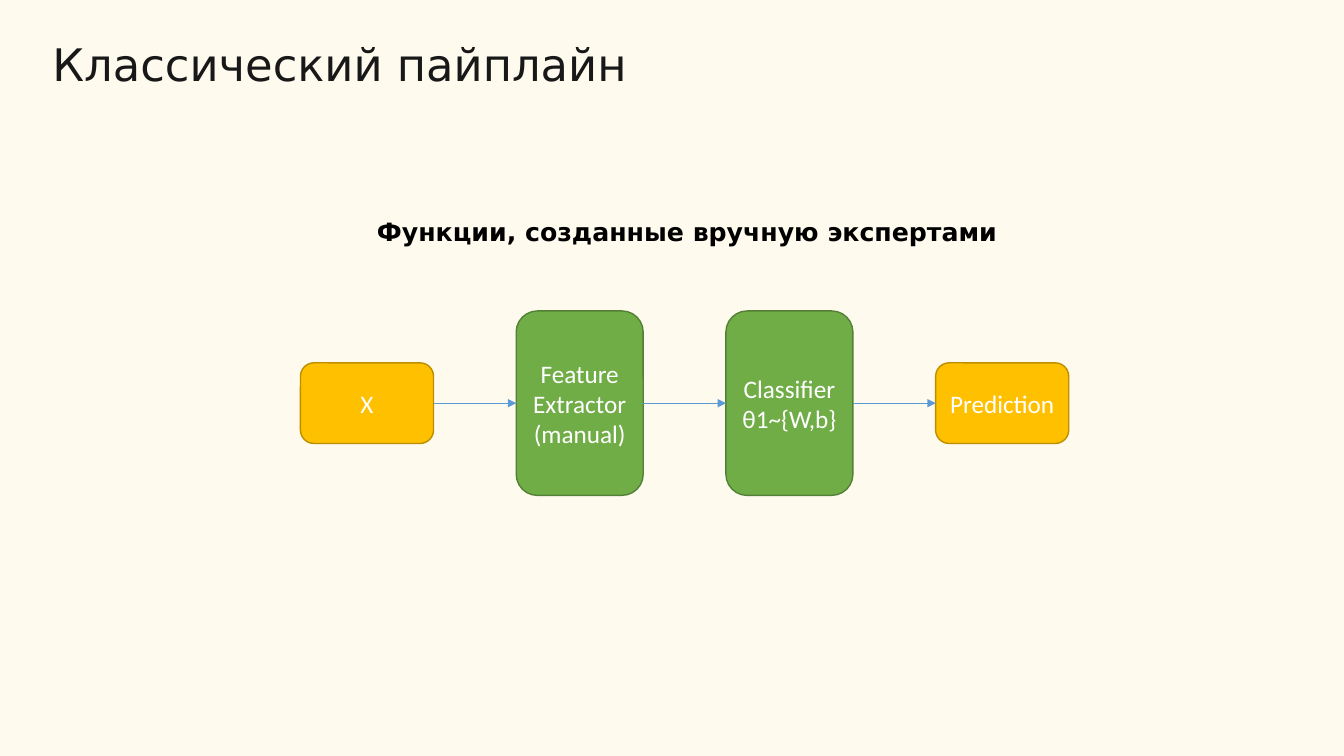
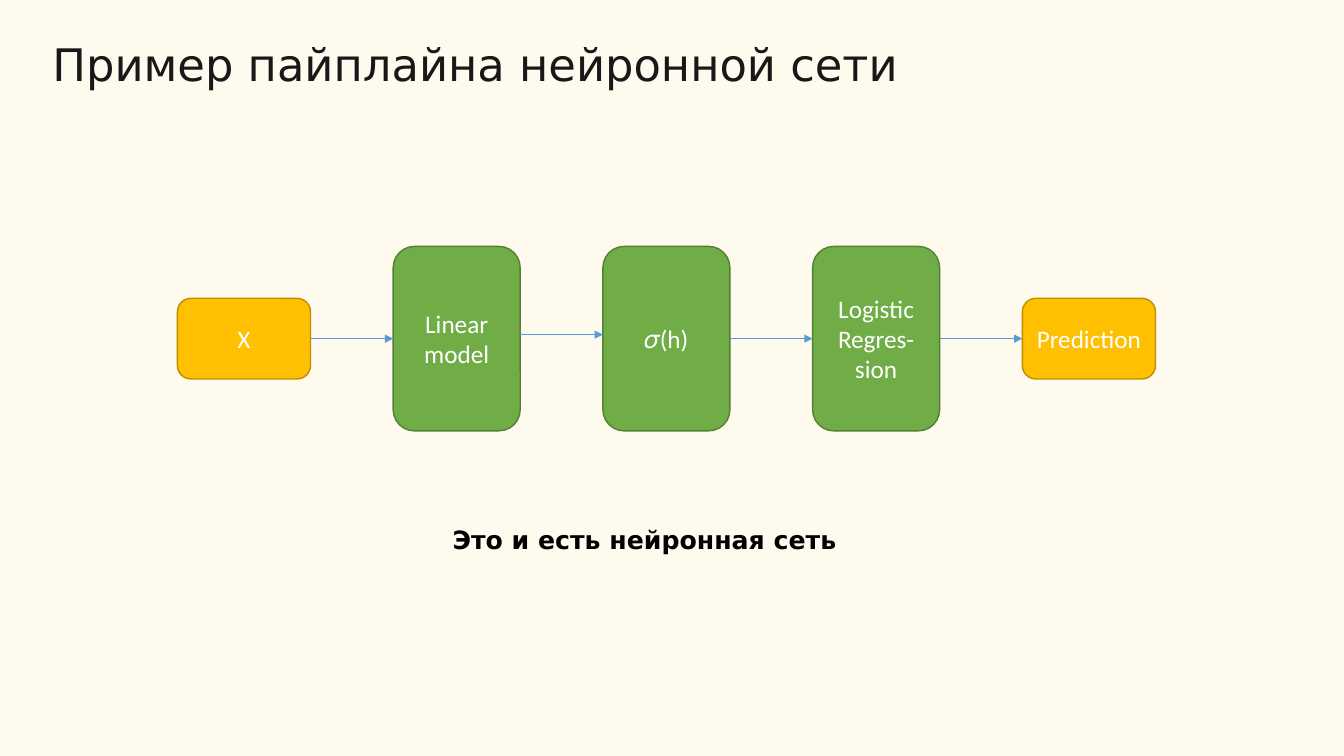
from lxml import etree
from pptx import Presentation
from pptx.dml.color import RGBColor
from pptx.enum.shapes import MSO_CONNECTOR, MSO_SHAPE
from pptx.enum.text import MSO_ANCHOR, PP_ALIGN
from pptx.oxml.ns import qn
from pptx.util import Inches, Pt

STRAIGHT = MSO_CONNECTOR.STRAIGHT
ROUNDED = MSO_SHAPE.ROUNDED_RECTANGLE
TOP, MIDDLE = MSO_ANCHOR.TOP, MSO_ANCHOR.MIDDLE
LEFT, CENTER = PP_ALIGN.LEFT, PP_ALIGN.CENTER

COLORS = {
    "background": "FEFAEE", "title": "181818", "caption": "000000",
    "node_text": "FFFFFF", "arrow": "5B9BD5",
    "model": "70AD47", "model_line": "538035",
    "data": "FFC000", "data_line": "BD8E00",
}
SIZES = {"model": (1.26, 1.83), "data": (1.32, 0.8)}
GAP = 0.82
HEADING_FONT, NODE_FONT = "DejaVu Sans", "Calibri"
LEFT_SITE, RIGHT_SITE = 1, 3


def color(name):
    return RGBColor.from_string(COLORS[name])


def add_run(p, text, font, size, color_name, bold=False):
    r = p.add_run()
    r.text = text
    r.font.name = font
    r.font.size = Pt(size)
    r.font.bold = bold
    r.font.color.rgb = color(color_name)


def add_title(s, text):
    title = s.shapes.title
    title.left, title.top = Inches(0.52), Inches(0.45)
    title.width, title.height = Inches(9.4), Inches(0.55)
    tf = title.text_frame
    tf.margin_left = tf.margin_right = tf.margin_top = tf.margin_bottom = 0
    tf.vertical_anchor = TOP
    tf.word_wrap = True
    p = tf.paragraphs[0]
    p.alignment = LEFT
    p.line_spacing = 0.85
    add_run(p, text, HEADING_FONT, 32, "title")


def add_caption(s, text, left, top, width):
    box = s.shapes.add_textbox(Inches(left), Inches(top), Inches(width), Inches(0.4))
    tf = box.text_frame
    tf.word_wrap = True
    add_run(tf.paragraphs[0], text, HEADING_FONT, 18, "caption", bold=True)


def add_node(s, kind, lines, left, middle):
    width, height = SIZES[kind]
    sp = s.shapes.add_shape(ROUNDED, Inches(left), Inches(middle - height / 2),
                            Inches(width), Inches(height))
    sp.shadow.inherit = False
    sp.fill.solid()
    sp.fill.fore_color.rgb = color(kind)
    sp.line.color.rgb = color(kind + "_line")
    sp.line.width = Pt(1)
    tf = sp.text_frame
    tf.word_wrap = True
    tf.vertical_anchor = MIDDLE
    for i, line in enumerate(lines):
        p = tf.add_paragraph() if i else tf.paragraphs[0]
        p.alignment = CENTER
        add_run(p, line, NODE_FONT, 18, "node_text")
    return sp


def add_arrow(s, source, target, middle, lift):
    """Arrow between two nodes: glued to both, unless lifted off the axis."""
    y = Inches(middle - lift)
    arrow = s.shapes.add_connector(STRAIGHT, source.left + source.width, y,
                                   target.left, y)
    if not lift:
        arrow.begin_connect(source, RIGHT_SITE)
        arrow.end_connect(target, LEFT_SITE)
    arrow.line.color.rgb = color("arrow")
    arrow.line.width = Pt(0.5)
    etree.SubElement(arrow.line._get_or_add_ln(), qn("a:tailEnd"), type="triangle")
    etree.SubElement(arrow._element.spPr, qn("a:effectLst"))


def add_pipeline(s, left, middle, stages, lifts):
    """Row of nodes with equal gaps; lifts maps a node index to its arrow's rise."""
    previous = None
    for i, (kind, lines) in enumerate(stages):
        node = add_node(s, kind, lines, left, middle)
        if previous is not None:
            add_arrow(s, previous, node, middle, lifts.get(i, 0))
        previous = node
        left += SIZES[kind][0] + GAP


def add_pipeline_slide(prs, title, caption, pipeline):
    s = prs.slides.add_slide(prs.slide_layouts[5])
    add_title(s, title)
    add_pipeline(s, *pipeline)
    add_caption(s, *caption)


def main():
    prs = Presentation()
    prs.slide_width, prs.slide_height = Inches(13.33), Inches(7.5)
    background = prs.slide_master.background.fill
    background.solid()
    background.fore_color.rgb = color("background")

    # Classical pipeline
    add_pipeline_slide(
        prs, "Классический пайплайн",
        ("Функции, созданные вручную экспертами", 3.64, 2.1, 6.49),
        (2.98, 4, [
            ("data", ["X"]),
            ("model", ["Feature", "Extractor", "(manual)"]),
            ("model", ["Classifier", "θ1~{W,b}"]),
            ("data", ["Prediction"]),
        ], {}))

    # Neural network pipeline
    add_pipeline_slide(
        prs, "Пример пайплайна нейронной сети",
        ("Это и есть нейронная сеть", 4.39, 5.15, 5.78),
        (1.76, 3.36, [
            ("data", ["X"]),
            ("model", ["Linear model"]),
            ("model", ["𝜎(h)"]),
            ("model", ["Logistic Regres-sion"]),
            ("data", ["Prediction"]),
        ], {2: 0.04}))

    prs.save("out.pptx")


if __name__ == "__main__":
    main()
